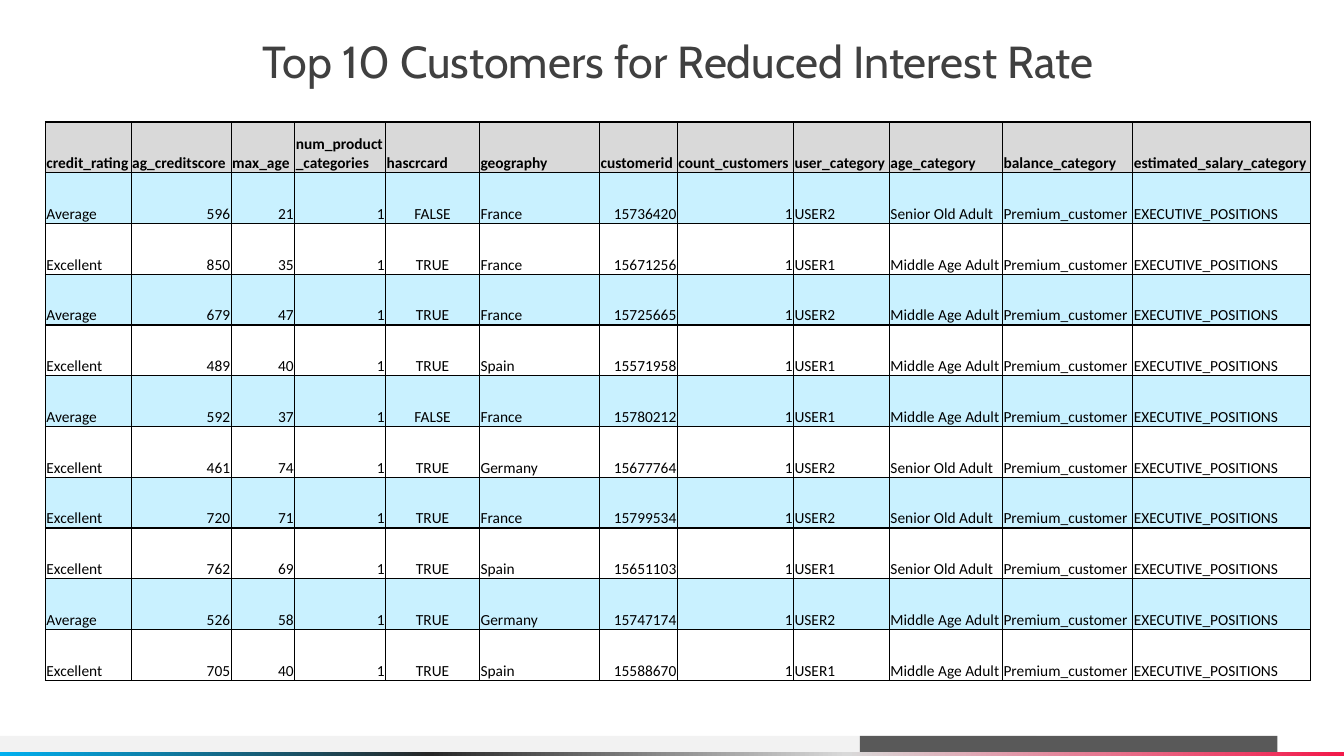
from typing import NamedTuple

from lxml.etree import SubElement
from pptx import Presentation
from pptx.dml.color import RGBColor
from pptx.enum.shapes import MSO_CONNECTOR, MSO_SHAPE
from pptx.enum.text import MSO_ANCHOR, MSO_AUTO_SIZE, PP_ALIGN
from pptx.oxml.ns import qn
from pptx.util import Emu, Inches, Pt

COLORS = {
    "title": "404040",
    "text": "000000",
    "border": "000000",
    "header": "D9D9D9",
    "band": "C9F1FF",
    "light_bar": "F2F2F2",
    "dark_bar": "595959",
    "red": "F2194A",
    "silver": "D9D9D9",
    "black": "262626",
    "blue": "00B0F0",
}
LEFT, CENTER, RIGHT = PP_ALIGN.LEFT, PP_ALIGN.CENTER, PP_ALIGN.RIGHT
SLIDE_W, SLIDE_H = Inches(13.33), Inches(7.5)


class Box(NamedTuple):
    """Left, top, width and height in percent of the slide."""
    left: float
    top: float
    width: float
    height: float


class Column(NamedTuple):
    heading: str
    weight: float
    align: PP_ALIGN = LEFT


class Customer(NamedTuple):
    rating: str
    score: int
    age: int
    has_card: str
    country: str
    number: int
    user: str
    age_group: str

    def cells(self) -> list[str]:
        values = [self.rating, self.score, self.age, 1, self.has_card,
                  self.country, self.number, 1, self.user, self.age_group,
                  "Premium_customer", "EXECUTIVE_POSITIONS"]
        return [str(value) for value in values]


TITLE_BOX = Box(3.38, 5.2, 94.15, 6.93)
TABLE_BOX = Box(3.38, 16.13, 94.15, 73.87)
BARS = [
    (Box(-0.08, 97.33, 77.19, 2.13), "light_bar"),
    (Box(63.99, 97.33, 31.06, 2.13), "dark_bar"),
]
RAINBOW_BOX = Box(-0.08, 99.47, 100.08, 0.53)
RAINBOW = [("red", 0), ("silver", 37), ("black", 68), ("blue", 100)]

COLUMNS = [
    Column("credit_rating", 0.85),
    Column("ag_creditscore", 0.99, RIGHT),
    Column("max_age", 0.63, RIGHT),
    Column("num_product_categories", 0.9, RIGHT),
    Column("hascrcard", 0.93, CENTER),
    Column("geography", 1.19),
    Column("customerid", 0.77, RIGHT),
    Column("count_customers", 1.15, RIGHT),
    Column("user_category", 0.95),
    Column("age_category", 1.12),
    Column("balance_category", 1.29),
    Column("estimated_salary_category", 1.76),
]
SENIOR, MIDDLE = "Senior Old Adult", "Middle Age Adult"
CUSTOMERS = [
    Customer("Average", 596, 21, "FALSE", "France", 15736420, "USER2", SENIOR),
    Customer("Excellent", 850, 35, "TRUE", "France", 15671256, "USER1", MIDDLE),
    Customer("Average", 679, 47, "TRUE", "France", 15725665, "USER2", MIDDLE),
    Customer("Excellent", 489, 40, "TRUE", "Spain", 15571958, "USER1", MIDDLE),
    Customer("Average", 592, 37, "FALSE", "France", 15780212, "USER1", MIDDLE),
    Customer("Excellent", 461, 74, "TRUE", "Germany", 15677764, "USER2", SENIOR),
    Customer("Excellent", 720, 71, "TRUE", "France", 15799534, "USER2", SENIOR),
    Customer("Excellent", 762, 69, "TRUE", "Spain", 15651103, "USER1", SENIOR),
    Customer("Average", 526, 58, "TRUE", "Germany", 15747174, "USER2", MIDDLE),
    Customer("Excellent", 705, 40, "TRUE", "Spain", 15588670, "USER1", MIDDLE),
]


def color(name: str) -> RGBColor:
    return RGBColor.from_string(COLORS[name])


def across(percent: float) -> Emu:
    return Emu(round(SLIDE_W * percent / 100))


def down(percent: float) -> Emu:
    return Emu(round(SLIDE_H * percent / 100))


def place(box: Box) -> tuple[Emu, Emu, Emu, Emu]:
    return across(box.left), down(box.top), across(box.width), down(box.height)


def add_bar(slide, box: Box, fill: str):
    sp = slide.shapes.add_shape(MSO_SHAPE.RECTANGLE, *place(box))
    sp.shadow.inherit = False
    sp.fill.solid()
    sp.fill.fore_color.rgb = color(fill)
    sp.line.fill.background()
    return sp


def add_rainbow(slide) -> None:
    """Draw the thin bottom bar, with its gradient running right to left."""
    sp = add_bar(slide, RAINBOW_BOX, "blue")
    sp.fill.gradient()
    sp.fill.gradient_angle = 180
    stops = sp.element.spPr.find(qn("a:gradFill")).find(qn("a:gsLst"))
    stops.clear()
    for name, percent in RAINBOW:
        stop = SubElement(stops, qn("a:gs"), pos=str(percent * 1000))
        SubElement(stop, qn("a:srgbClr"), val=COLORS[name])


def add_footer_line(slide) -> None:
    y = down(98.27)
    line = slide.shapes.add_connector(
        MSO_CONNECTOR.STRAIGHT, across(82.52), y, across(94.82), y)
    line.line.color.rgb = color("dark_bar")
    line.line.width = Pt(10.25)
    SubElement(line.element.spPr, qn("a:effectLst"))


def set_title(slide, text: str) -> None:
    title = slide.shapes.title
    title.left, title.top, title.width, title.height = place(TITLE_BOX)
    tf = title.text_frame
    tf.text = text
    tf.word_wrap = True
    tf.auto_size = MSO_AUTO_SIZE.NONE
    tf.vertical_anchor = MSO_ANCHOR.TOP
    tf.margin_left = tf.margin_right = tf.margin_top = tf.margin_bottom = 0
    p = tf.paragraphs[0]
    p.alignment, p.line_spacing = CENTER, 0.9
    p.font.name, p.font.size = "Cabin", Pt(32)
    p.font.color.rgb = color("title")


def add_borders(cell) -> None:
    tc_pr = cell._tc.get_or_add_tcPr()
    for side in ("lnL", "lnR", "lnT", "lnB"):
        ln = SubElement(tc_pr, qn(f"a:{side}"), w=str(Pt(1)))
        fill = SubElement(ln, qn("a:solidFill"))
        SubElement(fill, qn("a:srgbClr"), val=COLORS["border"])


def fill_cell(cell, text: str, align: PP_ALIGN, fill: str | None, bold: bool) -> None:
    add_borders(cell)
    if fill:
        cell.fill.solid()
        cell.fill.fore_color.rgb = color(fill)
    else:
        cell.fill.background()
    cell.margin_left = cell.margin_right = cell.margin_top = Inches(0.01)
    cell.margin_bottom = 0
    cell.vertical_anchor = MSO_ANCHOR.BOTTOM
    cell.text = text
    p = cell.text_frame.paragraphs[0]
    p.alignment = align
    p.font.name, p.font.size, p.font.bold = "Calibri", Pt(11), bold
    p.font.color.rgb = color("text")


def add_customer_table(slide) -> None:
    n_rows = len(CUSTOMERS) + 1
    left, top, width, height = place(TABLE_BOX)
    table = slide.shapes.add_table(
        n_rows, len(COLUMNS), left, top, width, height).table
    table.first_row = table.horz_banding = False
    total = sum(column.weight for column in COLUMNS)
    for grid_column, column in zip(table.columns, COLUMNS):
        grid_column.width = Emu(round(width * column.weight / total))
    for row in table.rows:
        row.height = Emu(round(height / n_rows))

    for c, column in enumerate(COLUMNS):
        fill_cell(table.cell(0, c), column.heading, LEFT, "header", True)
    for r, customer in enumerate(CUSTOMERS, start=1):
        fill = "band" if r % 2 else None
        for c, text in enumerate(customer.cells()):
            fill_cell(table.cell(r, c), text, COLUMNS[c].align, fill, False)


def main() -> None:
    prs = Presentation()
    prs.slide_width, prs.slide_height = SLIDE_W, SLIDE_H
    slide = prs.slides.add_slide(prs.slide_layouts[5])
    for box, fill in BARS:
        add_bar(slide, box, fill)
    add_rainbow(slide)
    set_title(slide, "Top 10 Customers for Reduced Interest Rate")
    add_customer_table(slide)
    add_footer_line(slide)
    prs.save("out.pptx")


if __name__ == "__main__":
    main()
